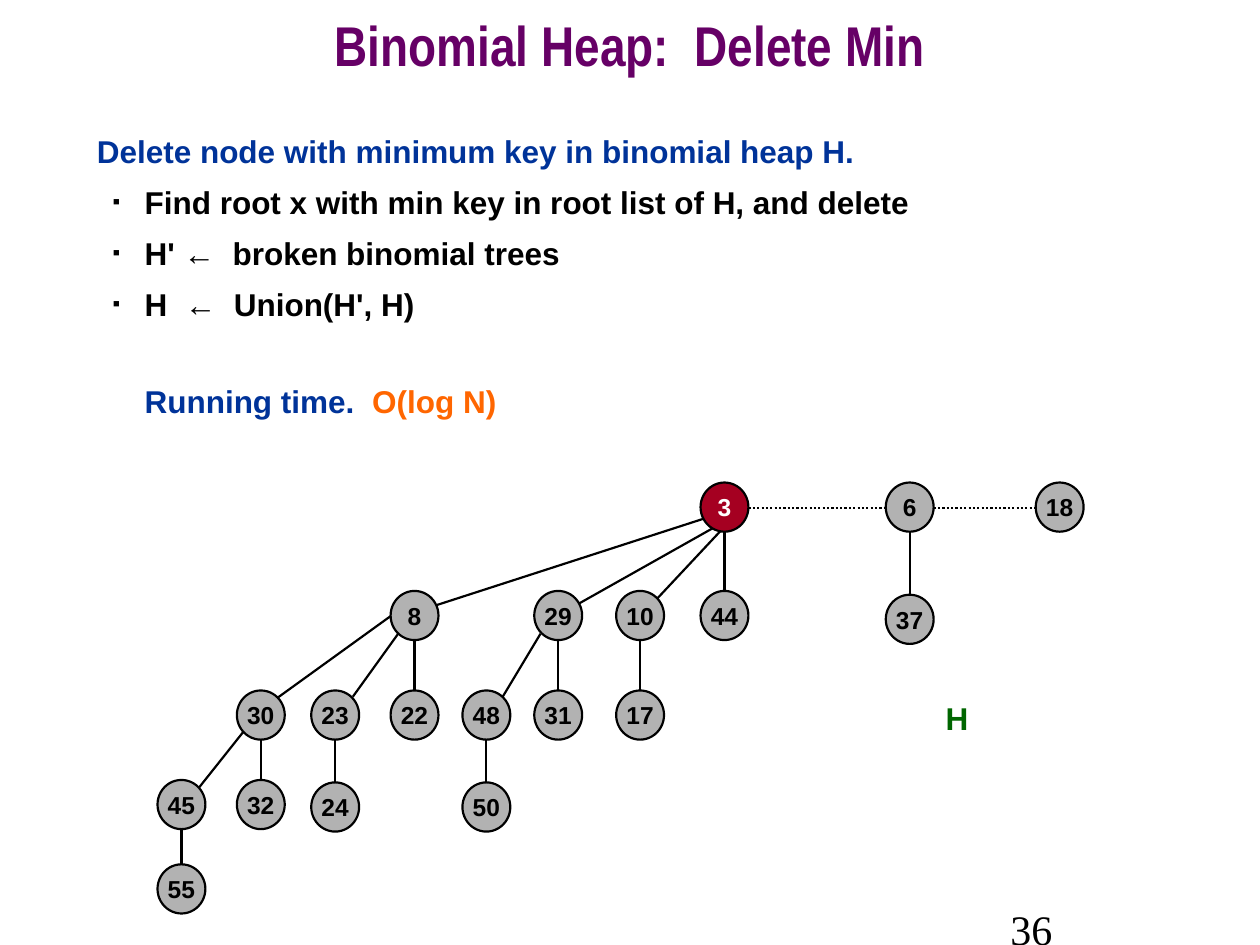
import pptx
import pptx.util
import pptx.dml.color
import pptx.enum.dml
import pptx.enum.shapes
import pptx.enum.text
import pptx.oxml.ns
import lxml.etree

Inches = pptx.util.Inches
Pt = pptx.util.Pt
RGB = pptx.dml.color.RGBColor
ALIGN = pptx.enum.text.PP_ALIGN
ANCHOR = pptx.enum.text.MSO_ANCHOR

BLACK = RGB(0, 0, 0)
WHITE = RGB(255, 255, 255)
GRAY = RGB(0xB2, 0xB2, 0xB2)
RED = RGB(0xA5, 0x00, 0x21)
PURPLE = RGB(0x66, 0x00, 0x66)
BLUE = RGB(0x00, 0x33, 0x99)
ORANGE = RGB(0xFF, 0x66, 0x00)
GREEN = RGB(0x00, 0x66, 0x00)

WIDE, HIGH = 0.38, 0.39

# Rows of the heap: top of the row, then key and left edge of each node.
ROWS = [
    (3.83, {3: 5.56, 6: 7.03, 18: 8.22}),
    (4.69, {8: 3.1, 29: 4.24, 10: 4.89, 44: 5.56}),
    (4.72, {37: 7.03}),
    (5.48, {30: 1.88, 23: 2.47, 22: 3.1, 48: 3.67, 31: 4.24, 17: 4.89}),
    (6.19, {45: 1.25, 32: 1.88}),
    (6.21, {24: 2.47, 50: 3.67}),
    (6.86, {55: 1.25}),
]
NODES = {key: (left, top) for top, row in ROWS for key, left in row.items()}

# Parent and child in one column, joined by an upright line.
STEMS = [(3, 44), (6, 37), (8, 22), (29, 31), (10, 17),
         (30, 32), (23, 24), (48, 50), (45, 55)]

# Slanted lines from child to parent.
SLANTS = [
    (3.38, 4.83, 5.73, 4.07), (4.56, 4.81, 5.75, 4.14),
    (5.17, 4.8, 5.76, 4.17), (2.2, 5.54, 3.1, 4.89),
    (2.8, 5.53, 3.16, 5.03), (3.99, 5.53, 4.29, 5.03),
    (1.58, 6.25, 1.93, 5.81),
]
ROOTS = [(3, 6), (6, 18)]


def style(para, size, color, face="Arial", bold=True):
    """Set the font of a whole paragraph."""
    font = para.font
    font.name, font.size, font.bold = face, Pt(size), bold
    font.color.rgb = color


def add_box(shapes, left, top, width, height, anchor=ANCHOR.TOP):
    """Add a wrapping text box and return its frame."""
    box = shapes.add_textbox(Inches(left), Inches(top),
                             Inches(width), Inches(height))
    frame = box.text_frame
    frame.word_wrap = True
    frame.vertical_anchor = anchor
    return frame


def indent(para, left, first=0):
    """Set the left margin and first-line indent of a paragraph."""
    props = para._p.get_or_add_pPr()
    props.set("marL", str(Inches(left)))
    props.set("indent", str(Inches(first)))
    return props


def add_mark(para):
    """Give a paragraph a small black square bullet."""
    props = indent(para, 0.38, -0.25)
    tag = pptx.oxml.ns.qn
    color = lxml.etree.SubElement(props, tag("a:buClr"))
    lxml.etree.SubElement(color, tag("a:srgbClr"), val=str(BLACK))
    lxml.etree.SubElement(props, tag("a:buSzPct"), val="35000")
    lxml.etree.SubElement(props, tag("a:buFont"), typeface="Arial")
    lxml.etree.SubElement(props, tag("a:buChar"), char="■")


def add_line(shapes, x1, y1, x2, y2, dotted=False):
    """Add a plain black line."""
    line = shapes.add_connector(
        pptx.enum.shapes.MSO_CONNECTOR.STRAIGHT,
        Inches(x1), Inches(y1), Inches(x2), Inches(y2))
    line.line.color.rgb = BLACK
    line.line.width = Pt(1.25)
    if dotted:
        line.line.dash_style = pptx.enum.dml.MSO_LINE.ROUND_DOT
    lxml.etree.SubElement(line._element.spPr,
                          pptx.oxml.ns.qn("a:effectLst"))


def add_node(shapes, key, left, top):
    """Add one heap node; the minimum is red."""
    least = key == min(NODES)
    node = shapes.add_shape(
        pptx.enum.shapes.MSO_SHAPE.OVAL,
        Inches(left), Inches(top), Inches(WIDE), Inches(HIGH))
    node.shadow.inherit = False
    node.fill.solid()
    node.fill.fore_color.rgb = RED if least else GRAY
    node.line.color.rgb = BLACK
    node.line.width = Pt(1.25)
    frame = node.text_frame
    frame.word_wrap = False
    frame.vertical_anchor = ANCHOR.MIDDLE
    para = frame.paragraphs[0]
    para.text = str(key)
    para.alignment = ALIGN.CENTER
    style(para, 14, WHITE if least else BLACK)


def add_heap(slide):
    """Draw the heap as one group, lines below nodes."""
    shapes = slide.shapes.add_group_shape().shapes
    for one, two in ROOTS:
        left, top = NODES[one]
        add_line(shapes, left + WIDE, top + 0.2,
                 NODES[two][0], top + 0.2, dotted=True)
    for upper, lower in STEMS:
        left, top = NODES[lower]
        mid = left + WIDE / 2
        add_line(shapes, mid, top, mid, NODES[upper][1] + HIGH)
    for ends in SLANTS:
        add_line(shapes, *ends)
    for key, (left, top) in NODES.items():
        add_node(shapes, key, left, top)
    para = add_box(shapes, 7.25, 5.5, 0.69, 0.4).paragraphs[0]
    para.text = "H"
    para.alignment = ALIGN.CENTER
    para.space_before = Pt(11.2)
    style(para, 18, GREEN)


def add_title(slide):
    """Add the slide title."""
    para = add_box(slide.shapes, 0, 0, 10, 0.83,
                   ANCHOR.MIDDLE).paragraphs[0]
    para.text = "Binomial Heap:  Delete Min"
    para.alignment = ALIGN.CENTER
    para.line_spacing = 0.7
    style(para, 32, PURPLE, "Arial Narrow")


def add_body(slide):
    """Add the steps and the running time."""
    frame = add_box(slide.shapes, 0.67, 1, 8.58, 5.92)
    head = frame.paragraphs[0]
    head.text = "Delete node with minimum key in binomial heap H."
    head.space_before = Pt(4.5)
    style(head, 18, BLUE)
    for step in ("Find root x with min key in root list of H, and delete",
                 "H' ←  broken binomial trees",
                 "H  ←  Union(H', H)"):
        para = frame.add_paragraph()
        para.text = step
        add_mark(para)
        para.line_spacing = 1.1
        para.space_before = Pt(5.4)
        style(para, 18, BLACK)
    last = frame.add_paragraph()
    indent(last, 0.38)
    last.space_before = Pt(33.5)
    style(last, 18, BLUE)
    last.add_run().text = "Running time.  "
    cost = last.add_run()
    cost.text = "O(log N)"
    cost.font.color.rgb = ORANGE


def add_page(slide):
    """Add the page number."""
    para = add_box(slide.shapes, 7.92, 7.12, 2.08, 0.5,
                   ANCHOR.MIDDLE).paragraphs[0]
    para.text = "36"
    style(para, 24, BLACK, "Times New Roman", False)


def main():
    """Build and save the slide."""
    deck = pptx.Presentation()
    deck.slide_width, deck.slide_height = Inches(10), Inches(7.5)
    slide = deck.slides.add_slide(deck.slide_layouts[6])
    add_heap(slide)
    add_title(slide)
    add_body(slide)
    add_page(slide)
    deck.save("out.pptx")


main()
